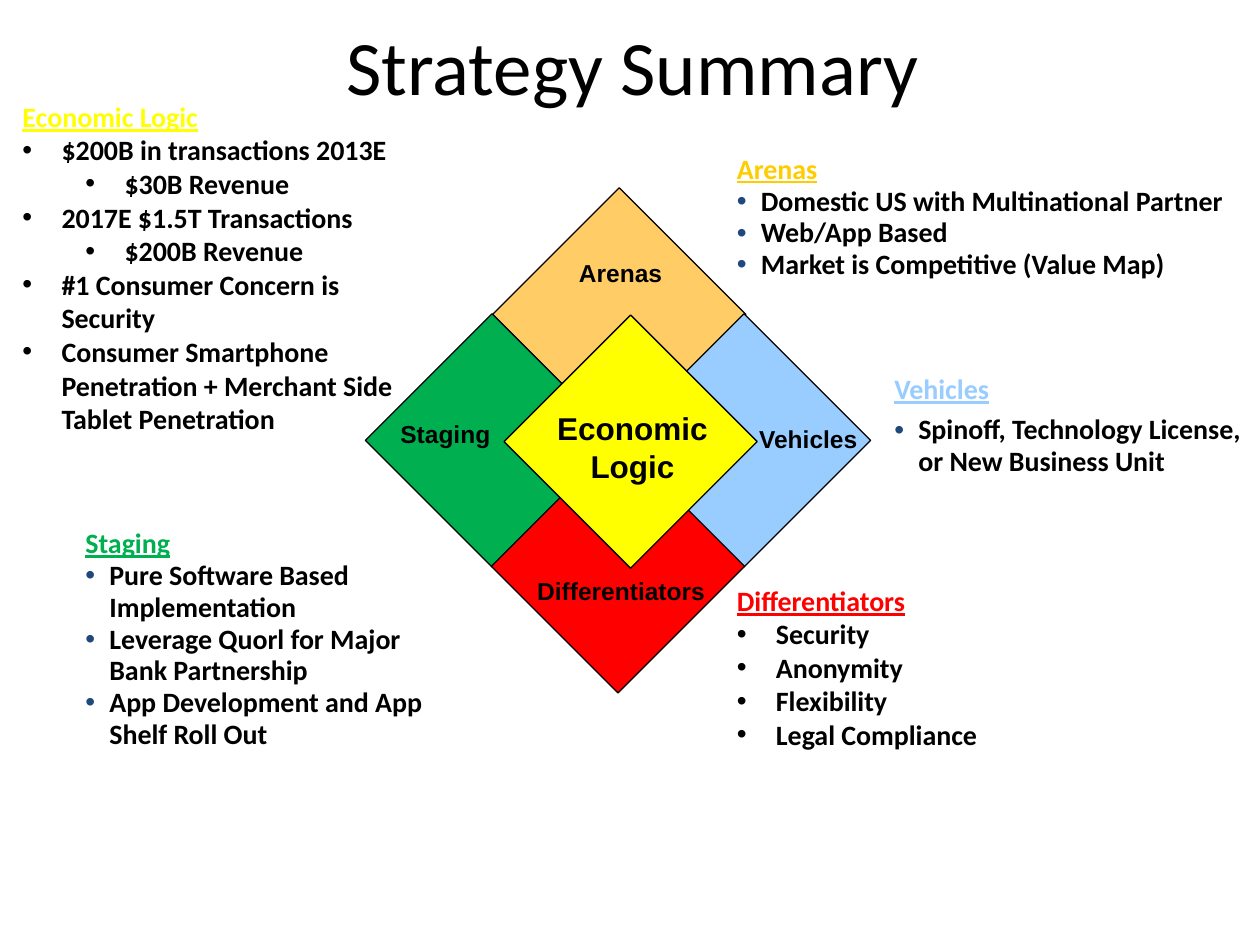
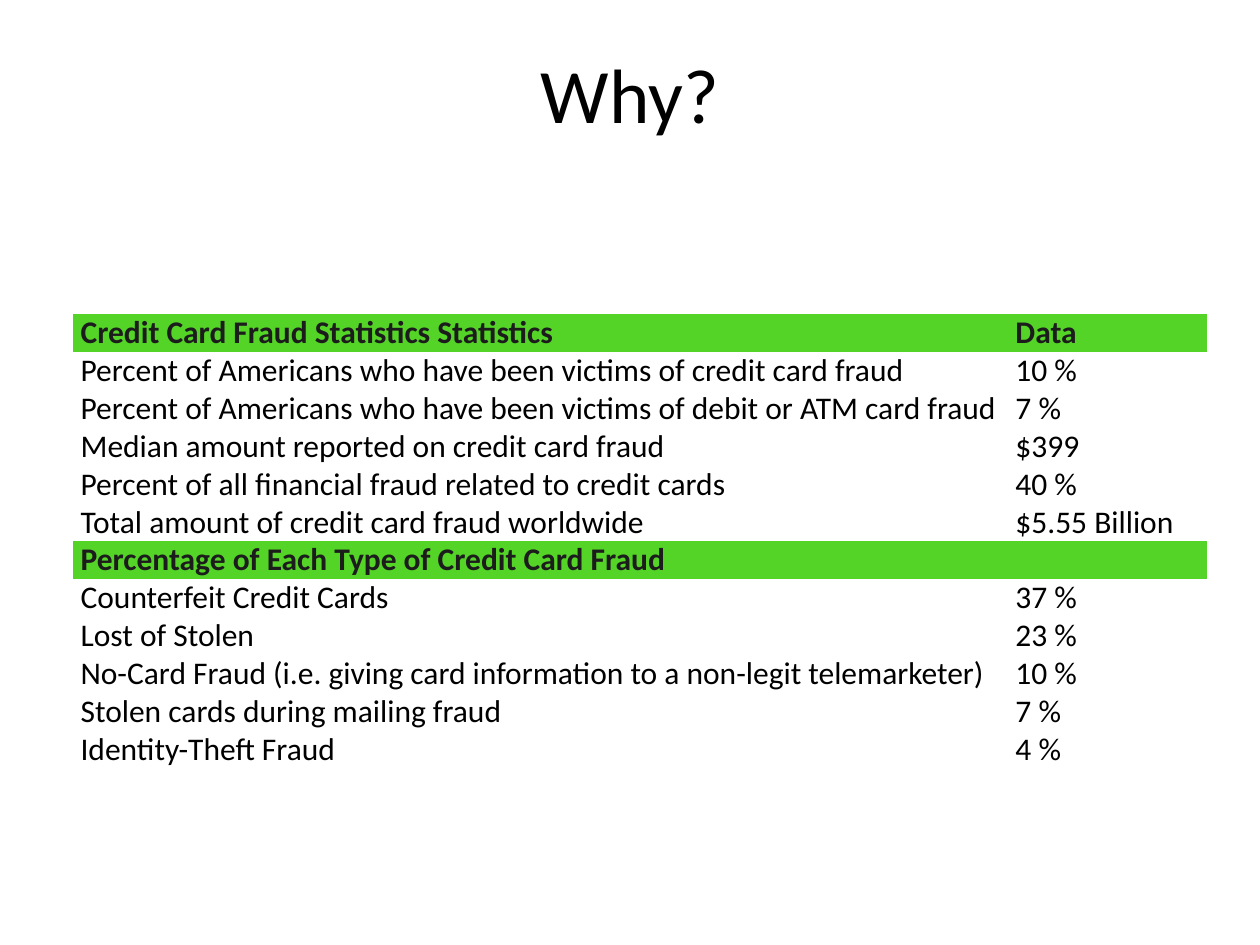
from dataclasses import dataclass

from lxml.etree import SubElement
from pptx import Presentation
from pptx.dml.color import RGBColor
from pptx.enum.shapes import MSO_SHAPE
from pptx.enum.text import MSO_ANCHOR, PP_ALIGN
from pptx.oxml.ns import qn
from pptx.util import Inches, Pt


@dataclass(frozen=True)
class Theme:
    head: str = "Calibri"
    mark: str = "Arial"
    black: str = "000000"
    white: str = "FFFFFF"
    navy: str = "1F497D"
    sand: str = "FFCC66"
    gold: str = "FFCC00"
    sky: str = "99CCFF"
    green: str = "00B050"
    red: str = "FF0000"
    yellow: str = "FFFF00"
    lime: str = "54D427"
    coal: str = "1C1C1C"
    title: int = 44
    core: int = 18
    label: int = 14
    body: int = 16
    cell: int = 18


theme = Theme()


def style(para, font, size, color, bold=False, line=False):
    for run in para.runs:
        run.font.name = font
        run.font.size = Pt(size)
        run.font.bold = bold
        run.font.underline = line
        run.font.color.rgb = RGBColor.from_string(color)


def add_box(slide, spot, words, anchor=MSO_ANCHOR.TOP):
    frame = slide.shapes.add_textbox(*map(Inches, spot)).text_frame
    frame.word_wrap = True
    frame.vertical_anchor = anchor
    frame.text = words
    return frame


deck = Presentation()
deck.slide_width = Inches(10)
deck.slide_height = Inches(7.5)

titles = [
    ("Strategy Summary", (0.52, 0.02, 9, 0.98)),
    ("Why?", (0.5, 0.3, 9, 0.87)),
]
slides = []
for words, spot in titles:
    slide = deck.slides.add_slide(deck.slide_layouts[6])
    para = add_box(slide, spot, words, MSO_ANCHOR.MIDDLE).paragraphs[0]
    para.alignment = PP_ALIGN.CENTER
    style(para, theme.head, theme.title, theme.black)
    slides.append(slide)
plan, facts = slides

side = 2.01
gems = [
    (3.91, 1.49, theme.sand),
    (4.9, 2.49, theme.sky),
    (2.9, 2.49, theme.green),
    (3.9, 3.49, theme.red),
    (4, 2.5, theme.yellow),
]
for left, top, color in gems:
    gem = plan.shapes.add_shape(
        MSO_SHAPE.DIAMOND, Inches(left), Inches(top), Inches(side), Inches(side)
    )
    gem.shadow.inherit = False
    gem.fill.solid()
    gem.fill.fore_color.rgb = RGBColor.from_string(color)
    gem.line.color.rgb = RGBColor.from_string(theme.black)
    gem.line.width = Pt(0.75)

labels = [
    ("Differentiators", (3.89, 4.52, 2.08, 0.33), theme.label),
    ("Economic Logic", (4.29, 3.2, 1.46, 0.7), theme.core),
    ("Vehicles", (5.66, 3.32, 1.51, 0.33), theme.label),
    ("Staging", (2.78, 3.28, 1.51, 0.33), theme.label),
    ("Arenas", (4.17, 2, 1.51, 0.33), theme.label),
]
for words, spot, size in labels:
    para = add_box(plan, spot, words).paragraphs[0]
    para.alignment = PP_ALIGN.CENTER
    style(para, theme.mark, size, theme.black, bold=True)

wide = (0.31, 1, 0, None)
tight = (0.19, 0.95, 0, theme.navy)
loose = (0.19, 0.95, 4.8, theme.navy)
notes = [
    ("Differentiators", theme.red, (5.75, 4.58, 3.92, 1.58), wide, [
        (0, "Security"),
        (0, "Anonymity"),
        (0, "Flexibility"),
        (0, "Legal Compliance"),
    ]),
    ("Arenas", theme.gold, (5.75, 1.17, 4.25, 1.5), tight, [
        (0, "Domestic US with Multinational Partner"),
        (0, "Web/App Based"),
        (0, "Market is Competitive (Value Map)"),
    ]),
    ("Staging", theme.green, (0.58, 4.14, 3, 1.25), tight, [
        (0, "Pure Software Based Implementation"),
        (0, "Leverage Quorl for Major Bank Partnership"),
        (0, "App Development and App Shelf Roll Out"),
    ]),
    ("Vehicles", theme.sky, (7, 2.92, 3, 0.83), loose, [
        (0, "Spinoff, Technology License, or New Business Unit"),
    ]),
    ("Economic Logic", theme.yellow, (0.08, 0.74, 3.25, 2.17), wide, [
        (0, "$200B in transactions 2013E"),
        (1, "$30B Revenue"),
        (0, "2017E $1.5T Transactions"),
        (1, "$200B Revenue"),
        (0, "#1 Consumer Concern is Security"),
        (0, "Consumer Smartphone Penetration + Merchant Side Tablet Penetration"),
    ]),
]
for head, color, spot, (hang, pitch, gap, dot), items in notes:
    frame = add_box(plan, spot, head)
    first = frame.paragraphs[0]
    first.line_spacing = pitch
    style(first, theme.head, theme.body, color, bold=True, line=True)
    for level, words in items:
        para = frame.add_paragraph()
        para.text = words
        para.level = level
        para.line_spacing = pitch
        para.space_before = Pt(gap)
        style(para, theme.head, theme.body, theme.black, bold=True)
        props = para._p.get_or_add_pPr()
        props.set("marL", str(Inches(hang + level * 0.5)))
        props.set("indent", str(-Inches(hang)))
        if dot:
            SubElement(SubElement(props, qn("a:buClr")), qn("a:srgbClr")).set("val", dot)
        SubElement(props, qn("a:buFont")).set("typeface", theme.mark)
        SubElement(props, qn("a:buChar")).set("char", "•")

rows = [
    ("Credit Card Fraud Statistics Statistics", "Data"),
    ("Percent of Americans who have been victims of credit card fraud", "10 %"),
    ("Percent of Americans who have been victims of debit or ATM card fraud", "7 %"),
    ("Median amount reported on credit card fraud", "$399"),
    ("Percent of all financial fraud related to credit cards", "40 %"),
    ("Total amount of credit card fraud worldwide", "$5.55 Billion"),
    ("Percentage of Each Type of Credit Card Fraud", ""),
    ("Counterfeit Credit Cards", "37 %"),
    ("Lost of Stolen", "23 %"),
    ("No-Card Fraud (i.e. giving card information to a non-legit telemarketer)", "10 %"),
    ("Stolen cards during mailing fraud", "7 %"),
    ("Identity-Theft Fraud", "4 %"),
]
bands = (0, 6)
grid = facts.shapes.add_table(
    len(rows), 2, Inches(0.58), Inches(2.49), Inches(9), Inches(0.3 * len(rows))
)
for node in grid.element.iter(qn("a:tableStyleId")):
    node.text = "{2D5ABB26-0587-4C30-8999-92F81FD0307C}"
table = grid.table
table.first_row = False
table.horz_banding = False
for column, width in zip(table.columns, (7.42, 1.58)):
    column.width = Inches(width)
for r, row in enumerate(rows):
    band = r in bands
    for c, words in enumerate(row):
        cell = table.cell(r, c)
        cell.margin_left = Inches(0.06)
        cell.margin_top = cell.margin_right = cell.margin_bottom = 0
        cell.vertical_anchor = MSO_ANCHOR.MIDDLE
        cell.fill.solid()
        cell.fill.fore_color.rgb = RGBColor.from_string(theme.lime if band else theme.white)
        cell.text_frame.text = words
        style(cell.text_frame.paragraphs[0], theme.head, theme.cell,
              theme.coal if band else theme.black, bold=band)

deck.save("out.pptx")
